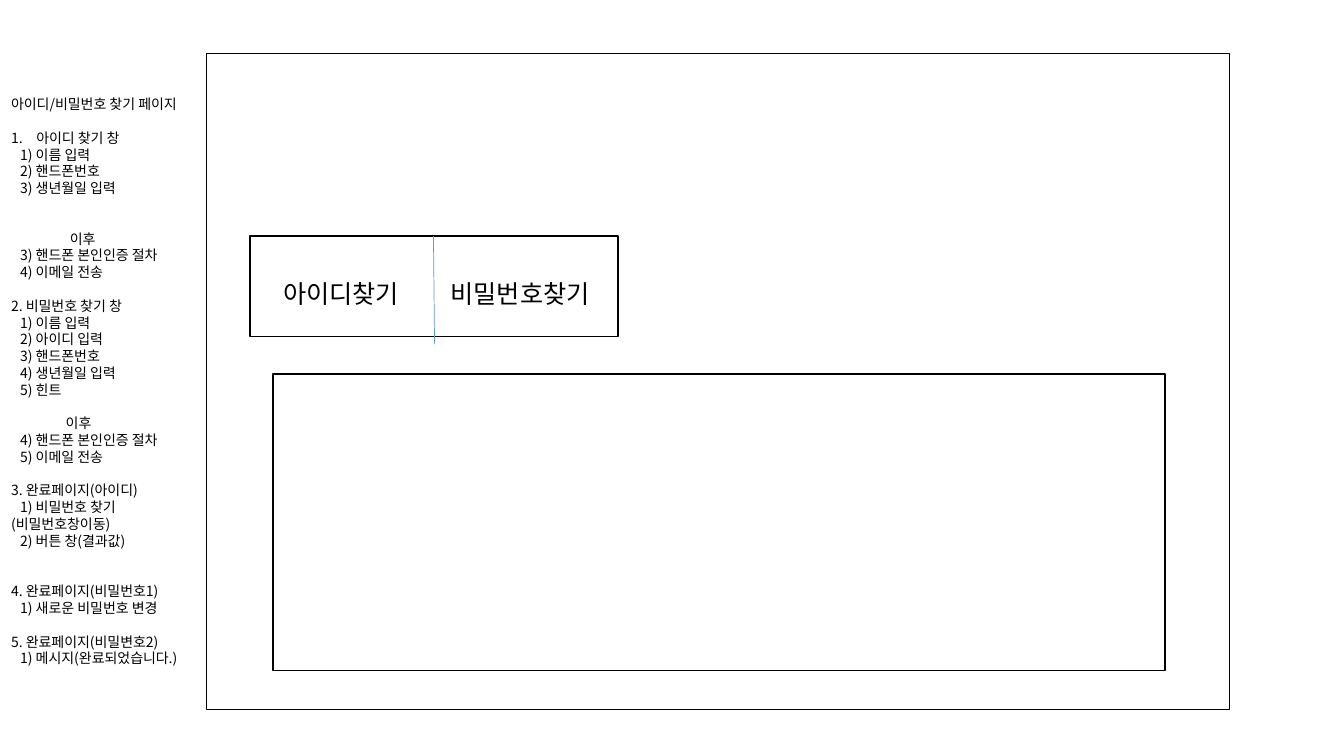
from lxml import etree
from pptx import Presentation
from pptx.dml import color
from pptx.enum import shapes, text
from pptx.oxml import ns
from pptx.util import Pt

FONT = "Noto Sans CJK KR"
BLACK = "000000"
BLUE = "5B9BD5"
PAGE_TITLE = "아이디/비밀번호 찾기 페이지"
HEADING, STEP, AFTER_ID, AFTER_PASSWORD = 0, 6.5, 42, 39
NOTES = [
    (0, HEADING, ["아이디 찾기 창"]),
    (0, STEP, ["1) 이름 입력", "2) 핸드폰번호", "3) 생년월일 입력"]),
    (2, AFTER_ID, ["이후"]),
    (0, STEP, ["3) 핸드폰 본인인증 절차", "4) 이메일 전송"]),
    (1, HEADING, ["2. 비밀번호 찾기 창"]),
    (0, STEP, ["1) 이름 입력", "2) 아이디 입력", "3) 핸드폰번호", "4) 생년월일 입력", "5) 힌트"]),
    (1, AFTER_PASSWORD, ["이후"]),
    (0, STEP, ["4) 핸드폰 본인인증 절차", "5) 이메일 전송"]),
    (1, HEADING, ["3. 완료페이지(아이디)"]),
    (0, STEP, ["1) 비밀번호 찾기(비밀번호창이동)", "2) 버튼 창(결과값)"]),
    (2, HEADING, ["4. 완료페이지(비밀번호1)"]),
    (0, STEP, ["1) 새로운 비밀번호 변경"]),
    (1, HEADING, ["5. 완료페이지(비밀변호2)"]),
    (0, STEP, ["1) 메시지(완료되었습니다.)"]),
]


def rgb(value):
    """Turn a hex string into a colour."""
    return color.RGBColor.from_string(value)


def apply(target, values):
    """Set every attribute named in a dict of format values."""
    for name, value in values.items():
        setattr(target, name, value)


def place(shape, left, top, width, height):
    """Move and size a shape, in points."""
    apply(shape, {"left": Pt(left), "top": Pt(top), "width": Pt(width), "height": Pt(height)})


def format_frame(frame, wrap, side, edge):
    """Set wrapping, anchor and insets of a text frame."""
    apply(frame, {
        "word_wrap": wrap, "auto_size": text.MSO_AUTO_SIZE.NONE,
        "vertical_anchor": text.MSO_ANCHOR.TOP,
        "margin_left": Pt(side), "margin_right": Pt(side),
        "margin_top": Pt(edge), "margin_bottom": Pt(edge),
    })


def write(paragraph, words, size, before=0, margin=0, indent=0, number=None):
    """Write one left-aligned paragraph, numbered if a start is given."""
    run = paragraph.add_run()
    run.text = words
    apply(run.font, {"name": FONT, "size": Pt(size), "bold": False})
    run.font.color.rgb = rgb(BLACK)
    east_asian = etree.SubElement(run.font._element, ns.qn("a:ea"))
    east_asian.set("typeface", FONT)
    apply(paragraph, {
        "alignment": text.PP_ALIGN.LEFT, "line_spacing": Pt(size * 1.2),
        "space_before": Pt(before), "space_after": Pt(0),
    })
    properties = paragraph._p.get_or_add_pPr()
    properties.set("marL", str(Pt(margin)))
    properties.set("indent", str(Pt(indent)))
    if number is None:
        etree.SubElement(properties, ns.qn("a:buNone"))
    else:
        bullet = etree.SubElement(properties, ns.qn("a:buAutoNum"))
        bullet.set("type", "arabicPeriod")
        bullet.set("startAt", str(number))


def add_box(slide, left, top, width, height):
    """Add an unfilled rectangle with a black outline."""
    shape = slide.shapes.add_shape(
        shapes.MSO_SHAPE.RECTANGLE, Pt(left), Pt(top), Pt(width), Pt(height))
    shape.shadow.inherit = False
    shape.fill.background()
    shape.line.color.rgb = rgb(BLACK)
    shape.line.width = Pt(1)


def add_label(slide, words, left, top, width, height):
    """Add a one-line tab label."""
    label = slide.shapes.add_textbox(Pt(left), Pt(top), Pt(width), Pt(height))
    format_frame(label.text_frame, False, 7.2, 3.6)
    write(label.text_frame.paragraphs[0], words, 18)


def add_tabs(slide, left, top, width, height):
    """Add the two search tabs and the line between them."""
    add_box(slide, left, top, width, height)
    middle = left + width / 2
    divider = slide.shapes.add_connector(
        shapes.MSO_CONNECTOR.STRAIGHT, Pt(middle - 0.4), Pt(top), Pt(middle + 0.4), Pt(top + 77))
    divider.line.color.rgb = rgb(BLUE)
    divider.line.width = Pt(0.5)
    etree.SubElement(divider._element.spPr, ns.qn("a:effectLst"))
    add_label(slide, "아이디찾기", left + 16.5, top + 26.6, 105, 28.8)
    add_label(slide, "비밀번호찾기", middle + 4.7, top + 26.6, 124, 28.8)


def add_screen(slide, left, top, width, height):
    """Add the page frame with its tabs and content area."""
    add_box(slide, left, top, width, height)
    add_tabs(slide, left + 31, top + 130.3, 262.8, 72)
    add_box(slide, left + 47.5, top + 229, 637.2, 211.7)


def add_notes(slide, left, top, width, height):
    """Fill the title and body placeholders with the page outline."""
    title, body = slide.shapes.title, slide.placeholders[1]
    place(title, left, top, width, 12)
    place(body, left, top + 24, width, height - 24)
    for placeholder in (title, body):
        format_frame(placeholder.text_frame, True, 7.2, 0)
    write(title.text_frame.paragraphs[0], PAGE_TITLE, 10)
    paragraph = body.text_frame.paragraphs[0]
    for index, (gap, indent, lines) in enumerate(NOTES):
        for position, words in enumerate(lines):
            if index == 0:
                write(paragraph, words, 10, margin=18, indent=-18, number=1)
            else:
                before = 0 if position else gap * 12
                write(body.text_frame.add_paragraph(), words, 10, before, indent=indent)


def main():
    """Build and save the slide."""
    presentation = Presentation()
    apply(presentation, {"slide_width": Pt(960), "slide_height": Pt(540)})
    slide = presentation.slides.add_slide(presentation.slide_layouts[1])
    add_notes(slide, 0.7, 68.4, 144, 440)
    add_screen(slide, 147.6, 38.2, 730.8, 468.7)
    presentation.save("out.pptx")


if __name__ == "__main__":
    main()
